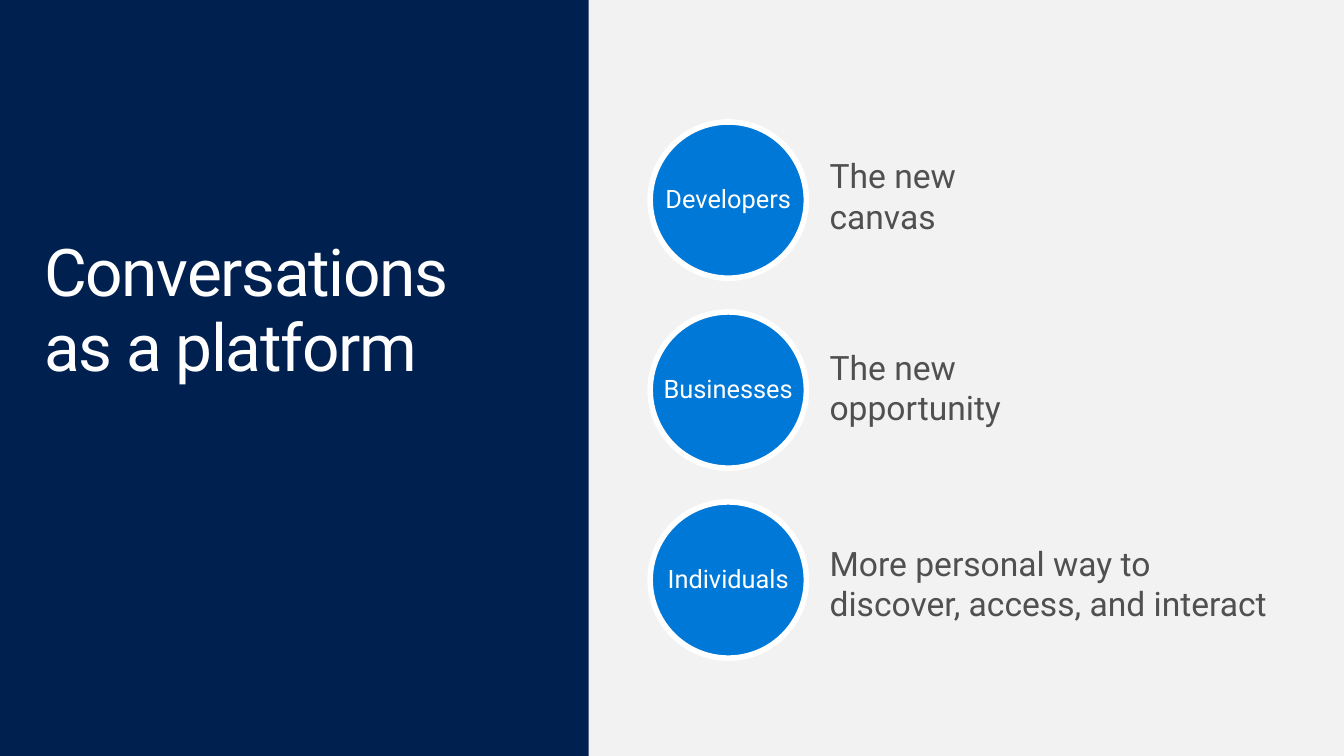
from pptx import Presentation
from pptx.dml.color import RGBColor
from pptx.enum.shapes import MSO_SHAPE
from pptx.enum.text import MSO_ANCHOR, MSO_AUTO_SIZE, PP_ALIGN
from pptx.oxml.ns import qn
from pptx.util import Pt

RECT, OVAL = MSO_SHAPE.RECTANGLE, MSO_SHAPE.OVAL
TOP, MIDDLE = MSO_ANCHOR.TOP, MSO_ANCHOR.MIDDLE
LEFT, CENTER = PP_ALIGN.LEFT, PP_ALIGN.CENTER
NO_AUTOFIT = MSO_AUTO_SIZE.NONE

WIDTH, HEIGHT = 960, 540
PANEL_X = 420.5
CIRCLE_X, CIRCLE_Y, CIRCLE_SIZE, CIRCLE_STEP = 464.4, 87.1, 111.6, 135.7
LABEL_X, LABEL_W, LABEL_H = 578.2, 360.8, 81.4

# Audience, what it gains, top of the label
AUDIENCES = [
    ("Developers", "The new\vcanvas", 99),
    ("Businesses", "The new\vopportunity", 236),
    ("Individuals", "More personal way to\vdiscover, access, and interact", 375.8),
]


def rgb(value):
    return RGBColor.from_string(value)


class SlideBuilder:
    """Holds the style and the current slide."""

    font = "Roboto"
    navy, blue, white = "002050", "0078D7", "FFFFFF"
    pale, grey = "F2F2F2", "505050"

    def __init__(self, prs):
        self.slide = prs.slides.add_slide(prs.slide_layouts[5])
        fill = self.slide.background.fill
        fill.solid()
        fill.fore_color.rgb = rgb(self.navy)

    def set_text(self, sp, text, size, color, align=LEFT, anchor=MIDDLE,
                 insets=(7.2, 3.6), wrap=True, line_spacing=None):
        tf = sp.text_frame
        tf.auto_size = NO_AUTOFIT
        tf.word_wrap = wrap
        tf.vertical_anchor = anchor
        tf.margin_left = tf.margin_right = Pt(insets[0])
        tf.margin_top = tf.margin_bottom = Pt(insets[1])
        p = tf.paragraphs[0]
        p.text = text
        p.alignment = align
        p.line_spacing = line_spacing
        p.font.name = self.font
        p.font.size = Pt(size)
        p.font.color.rgb = rgb(color)
        return p

    def title(self, text, x, y, w, h):
        sp = self.slide.shapes.title
        sp.left, sp.top, sp.width, sp.height = Pt(x), Pt(y), Pt(w), Pt(h)
        p = self.set_text(sp, text, 47, self.white, anchor=TOP, line_spacing=0.95)
        p._p.pPr.find(qn("a:defRPr")).set("spc", "-100")

    def shape(self, kind, x, y, w, h, fill, line=None):
        sp = self.slide.shapes.add_shape(kind, Pt(x), Pt(y), Pt(w), Pt(h))
        sp.shadow.inherit = False
        sp.fill.solid()
        sp.fill.fore_color.rgb = rgb(fill)
        if line:
            sp.line.color.rgb = rgb(line)
            sp.line.width = Pt(4)
        else:
            sp.line.fill.background()
        return sp

    def circle(self, text, x, y, size):
        sp = self.shape(OVAL, x, y, size, size, self.blue, self.white)
        self.set_text(sp, text, 18.1, self.white, CENTER,
                      insets=(0, 11.5), wrap=False, line_spacing=0.95)

    def label(self, text, x, y, w, h):
        sp = self.slide.shapes.add_textbox(Pt(x), Pt(y), Pt(w), Pt(h))
        self.set_text(sp, text, 24, self.grey, insets=(14.4, 11.5))


def main():
    prs = Presentation()
    prs.slide_width, prs.slide_height = Pt(WIDTH), Pt(HEIGHT)
    s = SlideBuilder(prs)
    s.shape(RECT, PANEL_X, 0, WIDTH - PANEL_X, HEIGHT, s.pale)
    s.title("Conversations\vas a platform", 24.5, 165, 372, 115)
    for i, (audience, gain, label_y) in enumerate(AUDIENCES):
        s.circle(audience, CIRCLE_X, CIRCLE_Y + i * CIRCLE_STEP, CIRCLE_SIZE)
        s.label(gain, LABEL_X, label_y, LABEL_W, LABEL_H)
    prs.save("out.pptx")


if __name__ == "__main__":
    main()
